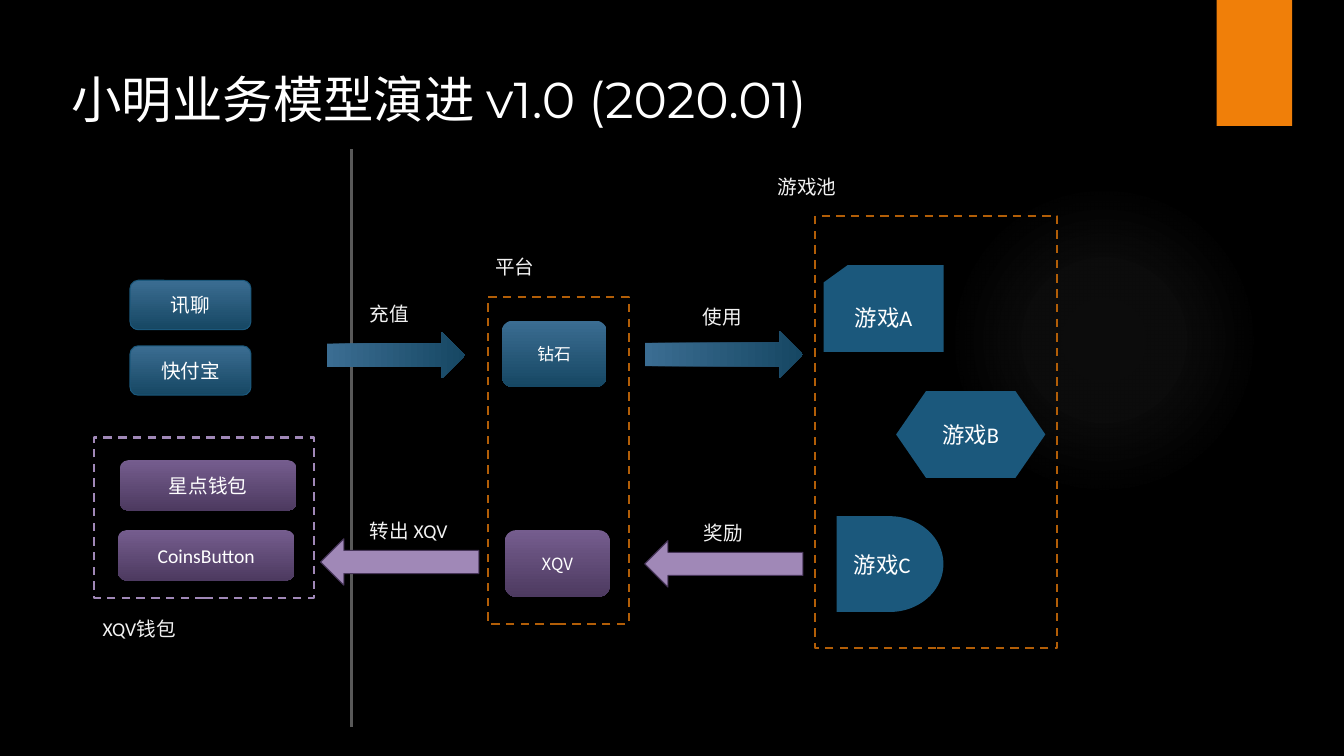
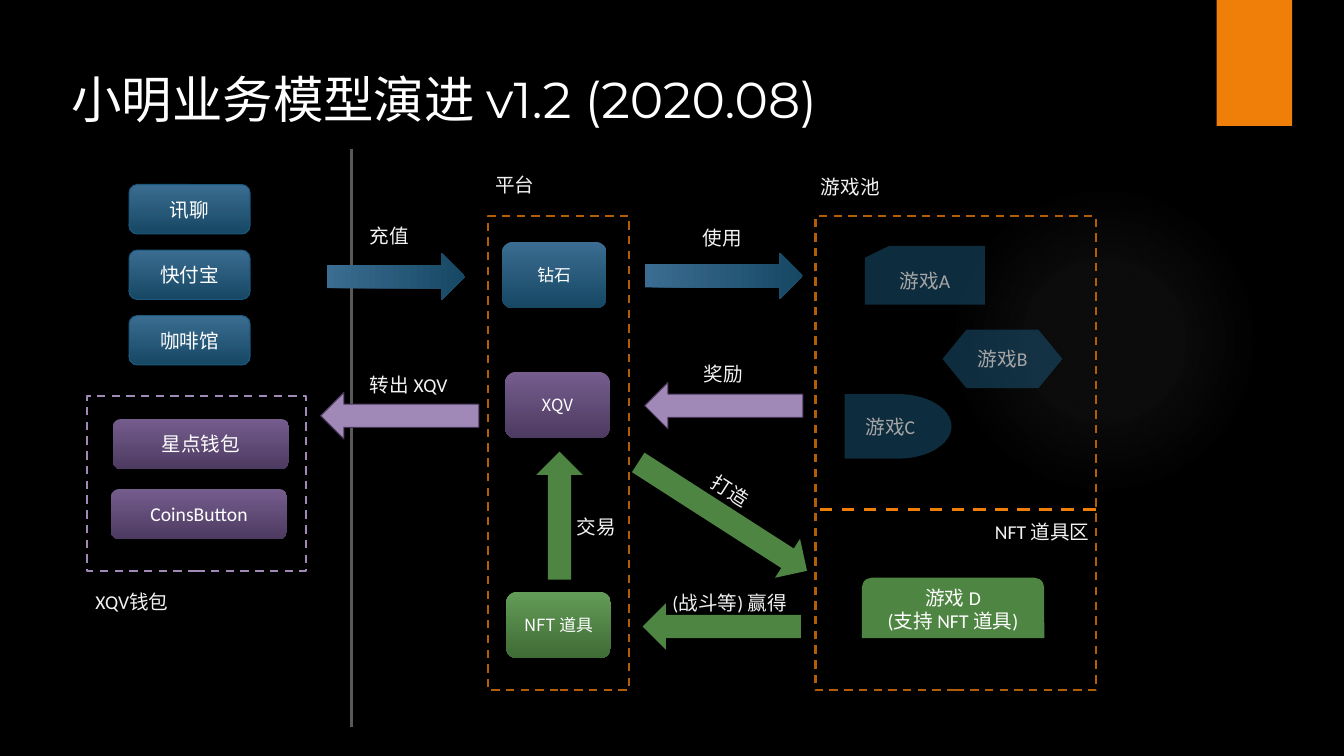
from collections import namedtuple
from dataclasses import dataclass

from pptx import Presentation
from pptx.dml.color import RGBColor
from pptx.enum.dml import MSO_LINE as Dash
from pptx.enum.shapes import MSO_CONNECTOR as Link, MSO_SHAPE as Preset
from pptx.enum.text import MSO_ANCHOR as Anchor, MSO_AUTO_SIZE as Fit, PP_ALIGN as Align
from pptx.oxml import parse_xml
from pptx.oxml.ns import nsdecls, qn
from pptx.util import Pt


@dataclass(frozen=True)
class Theme:
    """Colours, fonts and type sizes of both slides; pairs are gradients."""
    back: str = "000000"
    band: str = "F07F09"
    glow: str = "ADADAD"
    white: str = "FFFFFF"
    label: str = "F2F2F2"
    dim: str = "A6A6A6"
    divider: str = "595959"
    zone: str = "B25E07"
    blue: str = "1B587C"
    lilac: str = "A088B7"
    lilac_edge: str = "48365A"
    green: str = "4E8542"
    blues: tuple = ("3B6D92", "164763")
    purples: tuple = ("755D8E", "4D3A60")
    greens: tuple = ("639C58", "3F6B35")
    title_font: str = "Montserrat"
    body_font: str = "Calibri"
    token_font: str = "Noto Sans CJK SC"
    title_size: int = 36
    game_size: int = 16
    body_size: int = 14
    token_size: int = 12


T = Theme()
COIN = "XQV"
LABEL_H = 24.5
ARROW_W = 33.1


class Box(namedtuple("Box", "x y w h")):
    """A rectangle in points."""

    def inside(self, dx, dy, w, h):
        """Return a box placed relative to this one's top left corner."""
        return Box(self.x + dx, self.y + dy, w, h)

    def lengths(self):
        """Return the four lengths as Pt values."""
        return [Pt(round(v, 2)) for v in self]


def centred(x, y, w, h):
    """Return a box around a centre point."""
    return Box(x - w / 2, y - h / 2, w, h)


def rgb(code):
    """Turn RRGGBB into a colour."""
    return RGBColor.from_string(code)


def write(shape, text, size=T.body_size, font=T.body_font, color=T.white,
          align=Align.CENTER, anchor=Anchor.MIDDLE, inset=None):
    """Put formatted text into a shape, one paragraph a line."""
    frame = shape.text_frame
    frame.text = text
    frame.word_wrap = True
    frame.auto_size = Fit.NONE
    frame.vertical_anchor = anchor
    if inset is not None:
        frame.margin_left = frame.margin_right = Pt(inset)
        frame.margin_top = frame.margin_bottom = Pt(inset)
    for paragraph in frame.paragraphs:
        paragraph.alignment = align
        for run in paragraph.runs:
            run.font.size, run.font.name = Pt(size), font
            run.font.color.rgb = rgb(color)


def draw(slide, preset, box, fill=None, edge=None, width=0.75, dash=None,
         rotation=0, opacity=None):
    """Add a preset shape with a plain, graded or empty fill."""
    shape = slide.shapes.add_shape(preset, *box.lengths())
    shape.shadow.inherit = False
    shape.rotation = rotation
    if fill is None:
        shape.fill.background()
    elif isinstance(fill, tuple):
        shape.fill.gradient()
        shape.fill.gradient_angle = 270
        for stop, code, place in zip(shape.fill.gradient_stops, fill, (0, 1)):
            stop.color.rgb, stop.position = rgb(code), place
    else:
        shape.fill.solid()
        shape.fill.fore_color.rgb = rgb(fill)
    if opacity is not None:
        color = next(shape.element.spPr.iter(qn("a:srgbClr")))
        color.append(parse_xml(f'<a:alpha {nsdecls("a")} val="{opacity * 1000}"/>'))
    if edge:
        shape.line.color.rgb, shape.line.width = rgb(edge), Pt(width)
        shape.line.dash_style = dash
    else:
        shape.line.fill.background()
    return shape


def zone(slide, box, edge=T.zone):
    """Outline a region with dashes."""
    draw(slide, Preset.RECTANGLE, box, edge=edge, width=1.5, dash=Dash.DASH)


def rule(slide, x1, y1, x2, y2, color, dash=None):
    """Draw a straight line without a shadow."""
    line = slide.shapes.add_connector(Link.STRAIGHT, *Box(x1, y1, x2, y2).lengths())
    line.line.color.rgb, line.line.width = rgb(color), Pt(2.25)
    line.line.dash_style = dash
    line.element.spPr.append(parse_xml(f'<a:effectLst {nsdecls("a")}/>'))


def label(slide, text, box, rotation=0):
    """Add a short caption."""
    caption = slide.shapes.add_textbox(*box.lengths())
    caption.rotation = rotation
    write(caption, text, color=T.label, anchor=Anchor.TOP)


def flow(slide, text, center, shift, fill, rotation, length=113, width=58.3,
         edge=None, tilt=0):
    """Draw a block arrow around a centre, its caption shifted from there."""
    x, y = center
    draw(slide, Preset.DOWN_ARROW, centred(x, y, ARROW_W, length), fill, edge,
         rotation=rotation)
    label(slide, text, centred(x + shift[0], y + shift[1], width, LABEL_H), tilt)


def decorate(layout, slide):
    """Move the background, glow and band shared by all slides to the layout."""
    layout.background.fill.solid()
    layout.background.fill.fore_color.rgb = rgb(T.back)
    glow = draw(slide, Preset.OVAL, Box(677.5, 131.8, 221.8, 221.8))
    stops = "".join(
        f'<a:gs pos="{place}000"><a:srgbClr val="{T.glow}">'
        f'<a:alpha val="{alpha}000"/></a:srgbClr></a:gs>'
        for place, alpha in ((0, 7), (36, 6), (69, 0)))
    radial = parse_xml(
        f'<a:gradFill {nsdecls("a")}><a:gsLst>{stops}</a:gsLst><a:path path="circle">'
        '<a:fillToRect l="50000" t="50000" r="50000" b="50000"/></a:path></a:gradFill>')
    props = glow.element.spPr
    props.replace(props.find(qn("a:noFill")), radial)
    band = draw(slide, Preset.RECTANGLE, Box(869, 0, 54, 90), T.band)
    for place, part in enumerate((glow, band), start=2):
        layout.shapes.element.insert(place, part.element)


def heading(slide, text):
    """Place and format the title."""
    title = slide.shapes.title
    title.left, title.top, title.width, title.height = Box(43.9, 46.8, 798.5, 47.5).lengths()
    write(title, text, size=T.title_size, font=T.title_font, align=Align.LEFT)


def channels(slide, box, names):
    """Stack the payment channels from the top of the box."""
    for row, name in enumerate(names):
        button = draw(slide, Preset.ROUNDED_RECTANGLE,
                      box.inside(0, row * 46.8, box.w, 35.3), T.blues, T.blue)
        write(button, name)


def wallets(slide, box):
    """Draw the wallet zone with its two wallets and the caption below."""
    zone(slide, box, T.lilac)
    for name, dx, dy in (("星点钱包", 18.7, 16.2), ("CoinsButton", 17.3, 66.2)):
        wallet = draw(slide, Preset.ROUNDED_RECTANGLE, box.inside(dx, dy, 126, 36), T.purples)
        write(wallet, name)
    label(slide, f"{COIN}钱包", box.inside(-13.7, box.h + 10, 92.2, LABEL_H))


def platform(slide, box, tokens):
    """Draw the platform zone; tokens are (name, gradient, dx, dy)."""
    zone(slide, box)
    label(slide, "平台", box.inside(-10, -33.8, 58.3, LABEL_H))
    for name, fill, dx, dy in tokens:
        token = draw(slide, Preset.ROUNDED_RECTANGLE, box.inside(dx, dy, 74.9, 47.5), fill)
        write(token, name, size=T.token_size, font=T.token_font)


def game_pool(slide, box, games, label_dx, opacity=None, **text_format):
    """Draw the game zone; games are (dx, dy, width, height) for A, B and C."""
    zone(slide, box)
    label(slide, "游戏池", box.inside(label_dx, -32.8, 58.3, LABEL_H))
    presets = (Preset.FLOWCHART_CARD, Preset.FLOWCHART_PREPARATION, Preset.FLOWCHART_DELAY)
    for letter, preset, place in zip("ABC", presets, games):
        game = draw(slide, preset, box.inside(*place), T.blue, opacity=opacity)
        write(game, f"游戏{letter}", **text_format)


def nft_shelf(slide, box):
    """Draw the NFT part of the game zone, below a dashed rule."""
    rule(slide, box.x + box.w, box.y, box.x, box.y, T.band, Dash.DASH)
    label(slide, "NFT 道具区", box.inside(117.4, 3.9, 89.3, LABEL_H))
    game = draw(slide, Preset.ROUND_2_SAME_RECTANGLE, box.inside(33.1, 48.6, 130.3, 43.2), T.green)
    write(game, "游戏 D\n(支持 NFT 道具)")


def coin_flows(slide, in_y, out_y, reward_y):
    """Draw the divider and the four flows both versions share."""
    rule(slide, 251.3, 519.1, 251.3, 106.6, T.divider)
    flow(slide, "充值", (283, in_y), (-4.7, -29.1), T.blues, 270, length=98.6)
    flow(slide, "使用", (517, in_y - 0.6), (-1.1, -26.6), T.blues, 270)
    flow(slide, "奖励", (517, reward_y), (-0.4, -22.3), T.lilac, 90, edge=T.lilac_edge)
    flow(slide, f"转出 {COIN}", (285.5, out_y), (6.5, -22.2), T.lilac, 90,
         width=81.4, edge=T.lilac_edge)


def nft_flows(slide):
    """Draw the crafting, winning and trading of NFT items."""
    flow(slide, "打造", (516.2, 369), (5.4, -18.4), T.green, 302.7, length=143.3, tilt=32.4)
    flow(slide, "(战斗等) 赢得", (515.5, 447.5), (5.8, -16.9), T.green, 90, width=110.9)
    flow(slide, "交易", (399.6, 368.3), (26.6, 8.3), T.green, 180, length=91.4, width=43.2)


def version_1_0(slide):
    """Build the January model."""
    heading(slide, "小明业务模型演进 v1.0 (2020.01)")
    channels(slide, Box(92.9, 200.2, 86.4, 82), ("讯聊", "快付宝"))
    wallets(slide, Box(67, 312.5, 157, 114.5))
    platform(slide, Box(348.5, 212.4, 100.8, 233.3),
             (("钻石", T.blues, 10, 16.6), (COIN, T.purples, 12.2, 166.3)))
    game_pool(slide, Box(582.5, 154.1, 172.8, 308.9),
              ((5.8, 35.3, 85.7, 61.9), (57.6, 125.3, 106.6, 61.9), (15.1, 214.6, 76.3, 68.4)),
              label_dx=-35.3, size=T.game_size)
    coin_flows(slide, in_y=253.8, out_y=401.4, reward_y=402.8)


def version_1_2(slide):
    """Build the August model with NFT items."""
    heading(slide, "小明业务模型演进 v1.2 (2020.08)")
    channels(slide, Box(92.2, 131.8, 86.4, 129), ("讯聊", "快付宝", "咖啡馆"))
    wallets(slide, Box(61.9, 283, 157, 124.6))
    platform(slide, Box(348.5, 154.1, 100.8, 339.1),
             (("钻石", T.blues, 10, 18.7), (COIN, T.purples, 12.2, 111.6),
              ("NFT 道具", T.greens, 13, 268.6)))
    pool = Box(582.5, 154.1, 200.2, 339.1)
    game_pool(slide, pool,
              ((35.3, 21.6, 85.7, 41.8), (90.7, 81.4, 85.7, 41.8), (20.9, 127.4, 76.3, 46.1)),
              label_dx=-4.3, opacity=50, color=T.dim, inset=0)
    nft_shelf(slide, pool.inside(0, 209.9, pool.w, 129.2))
    coin_flows(slide, in_y=197.6, out_y=297, reward_y=289.8)
    nft_flows(slide)


def main():
    """Build and save the presentation."""
    deck = Presentation()
    deck.slide_width, deck.slide_height = Pt(960), Pt(540)
    layout = deck.slide_layouts[5]
    for number, build in enumerate((version_1_0, version_1_2)):
        slide = deck.slides.add_slide(layout)
        if number == 0:
            decorate(layout, slide)
        build(slide)
    deck.save("out.pptx")


main()
